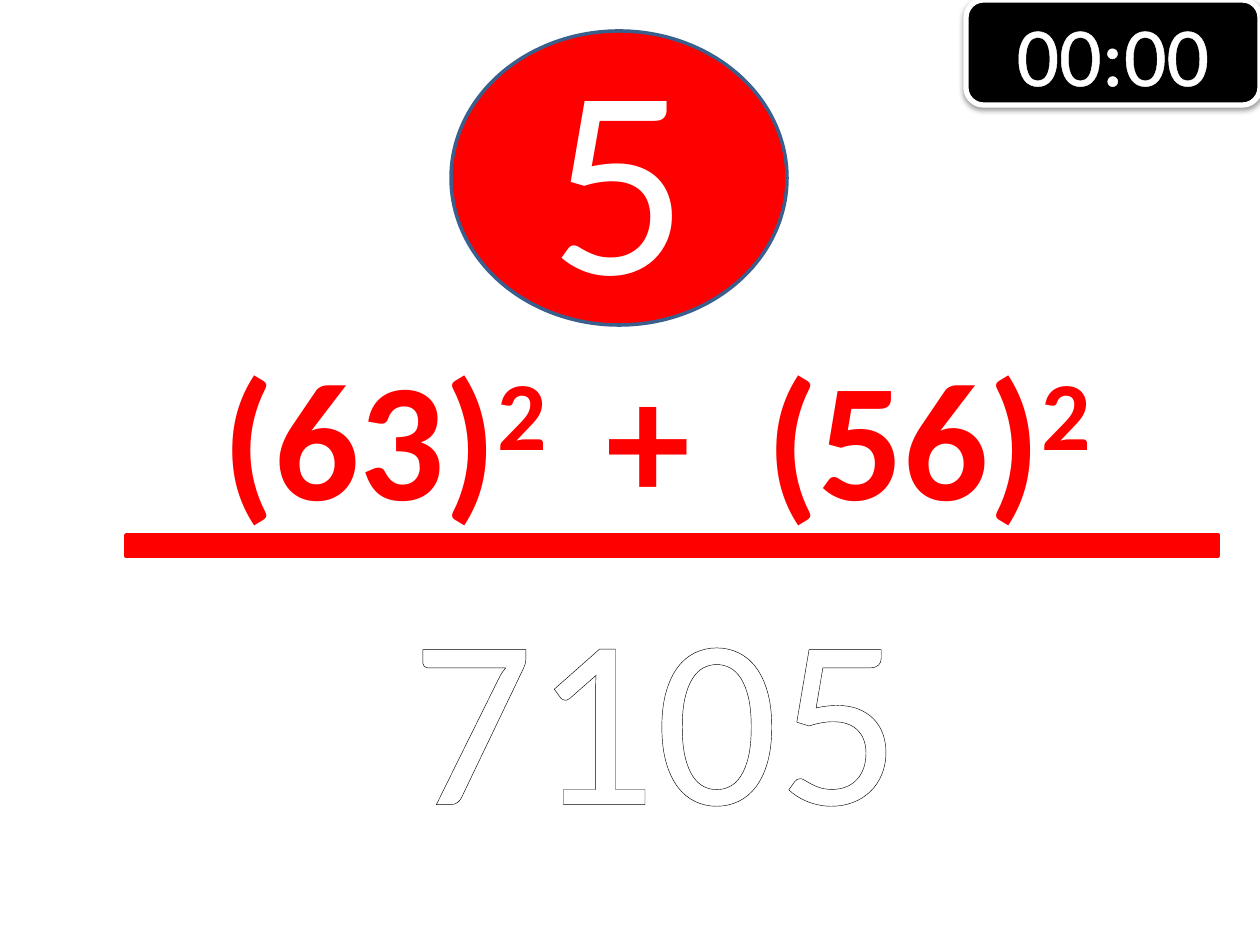
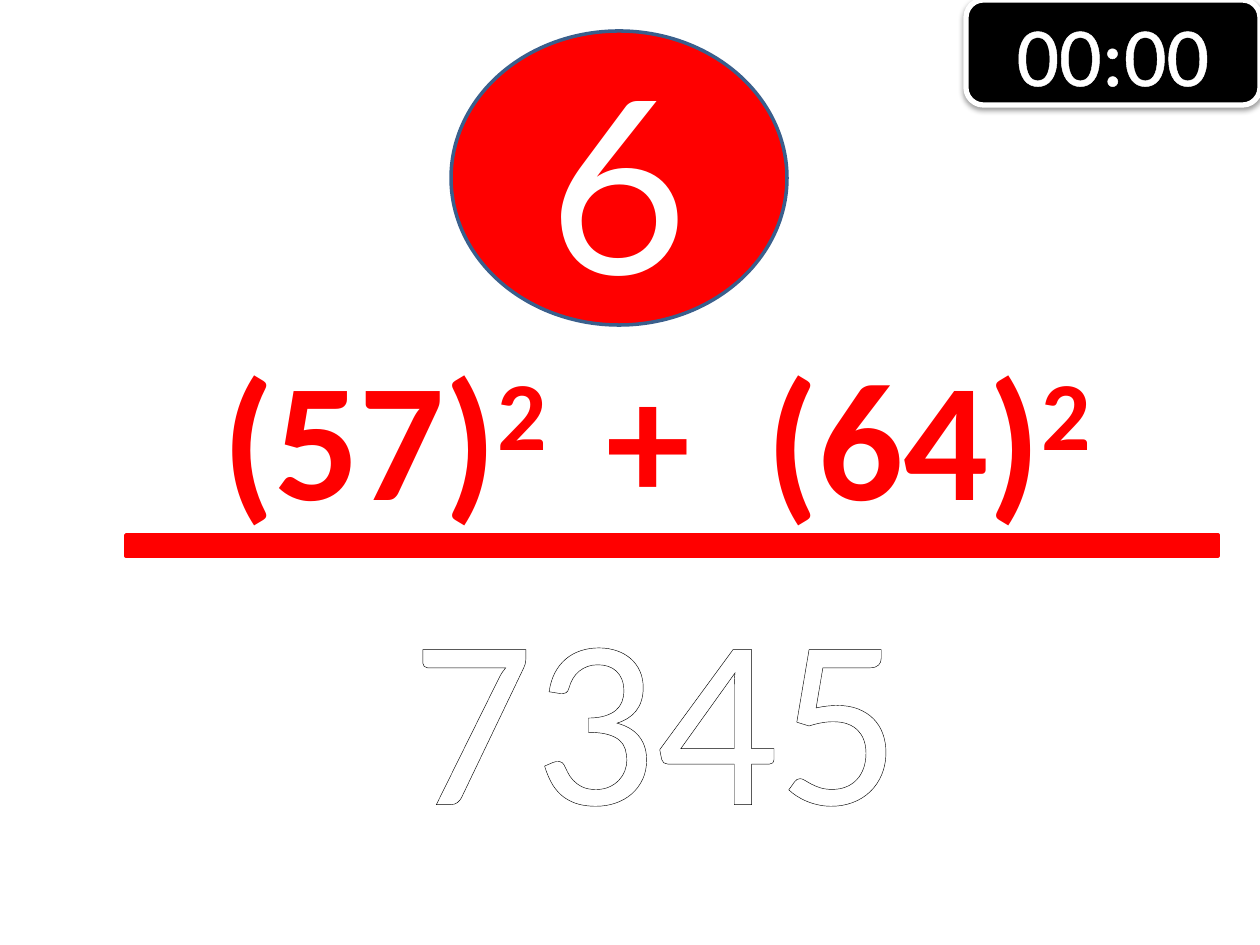
from lxml import etree
from pptx import Presentation
from pptx import util as u
from pptx.dml.color import RGBColor
from pptx.enum import shapes, text
from pptx.oxml import parse_xml
from pptx.oxml.ns import nsdecls, qn

COLORS = {"red": "FF0000", "white": "FFFFFF", "black": "000000", "rim": "3A5F8C"}
BODY_FONT, BADGE_FONT = "Calibri", "Lato"
OUTLINE_PT = 1.45

# number, first term, second term, answer
PROBLEMS = [
    ("5", "63", "56", "7105"),
    ("6", "57", "64", "7345"),
]


def px(n):
    """Pixels at 126 to the inch, as EMU."""
    return u.Emu(round(n * 914400 / 126))


def rgb(name):
    return RGBColor.from_string(COLORS[name])


def set_font(font, name, size, color, bold=False):
    font.name, font.size, font.bold = name, u.Pt(size), bold
    font.color.rgb = rgb(color)


def outline_run(r, color):
    """Give the letters of a run a coloured outline."""
    ln = parse_xml(
        f'<a:ln {nsdecls("a")} w="{u.Pt(OUTLINE_PT)}"><a:solidFill>'
        f'<a:srgbClr val="{COLORS[color]}"/></a:solidFill></a:ln>')
    r.font._element.insert(0, ln)


def add_block(slide, kind, box, fill, line, width):
    sp = slide.shapes.add_shape(kind, *map(px, box))
    sp.shadow.inherit = False
    sp.fill.solid()
    sp.fill.fore_color.rgb = rgb(fill)
    sp.line.color.rgb = rgb(line)
    sp.line.width = u.Pt(width)
    return sp


def add_text_box(slide, box, wrap=True):
    sp = slide.shapes.add_textbox(*map(px, box))
    tf = sp.text_frame
    tf.word_wrap = wrap
    tf.auto_size = text.MSO_AUTO_SIZE.SHAPE_TO_FIT_TEXT
    return tf


def write_line(tf, words, name, size, color, outline=None):
    """Write one centred line of text."""
    p = tf.paragraphs[0]
    p.alignment = text.PP_ALIGN.CENTER
    set_font(p.font, name, size, color)
    r = p.add_run()
    r.text = words
    # The outline only combines with a colour set on the run itself
    r.font.color.rgb = rgb(color)
    if outline:
        outline_run(r, outline)


def add_badge(slide, number):
    sp = add_block(slide, shapes.MSO_SHAPE.OVAL, (451, 31, 336, 294),
                   "red", "rim", 2)
    sp.text_frame.vertical_anchor = text.MSO_ANCHOR.MIDDLE
    write_line(sp.text_frame, number, BADGE_FONT, 138, "white")


def add_timer(slide):
    sp = add_block(slide, shapes.MSO_SHAPE.ROUNDED_RECTANGLE,
                   (966, 0, 294, 105), "black", "white", 3)
    sp.text_frame.vertical_anchor = text.MSO_ANCHOR.MIDDLE
    write_line(sp.text_frame, "00:00", BODY_FONT, 48, "white", "white")

    # Soft shadow straight below
    effects = sp._element.spPr.find(qn("a:effectLst"))
    shadow = etree.SubElement(effects, qn("a:outerShdw"),
                              blurRad=str(u.Pt(3.1)), dist=str(u.Pt(1.6)),
                              dir="5400000", rotWithShape="0")
    color = etree.SubElement(shadow, qn("a:srgbClr"), val=COLORS["black"])
    etree.SubElement(color, qn("a:alpha"), val="38000")


def add_sum(slide, first, second):
    tf = add_text_box(slide, (210, 325, 921, 217), wrap=False)
    tf.vertical_anchor = text.MSO_ANCHOR.MIDDLE
    p = tf.paragraphs[0]
    p.alignment = text.PP_ALIGN.JUSTIFY
    set_font(p.font, BODY_FONT, 96, "red", bold=True)
    parts = [(f"({first})", False), ("2 ", True),
             (f" +  ({second})", False), ("2", True)]
    for words, raised in parts:
        r = p.add_run()
        r.text = words
        r.font.color.rgb = rgb("red")
        outline_run(r, "red")
        if raised:
            r.font._element.set("baseline", "30000")


def add_rule(slide):
    add_block(slide, shapes.MSO_SHAPE.RECTANGLE, (126, 535, 1092, 21),
              "red", "red", 2)


def add_answer(slide, answer):
    tf = add_text_box(slide, (388, 557, 536, 305))
    write_line(tf, answer, BODY_FONT, 138, "white", "black")


def main():
    prs = Presentation()
    prs.slide_width, prs.slide_height = px(1260), px(945)
    blank = prs.slide_layouts[6]
    for number, first, second, answer in PROBLEMS:
        slide = prs.slides.add_slide(blank)
        add_badge(slide, number)
        add_timer(slide)
        add_sum(slide, first, second)
        add_rule(slide)
        add_answer(slide, answer)
    prs.save("out.pptx")


main()
